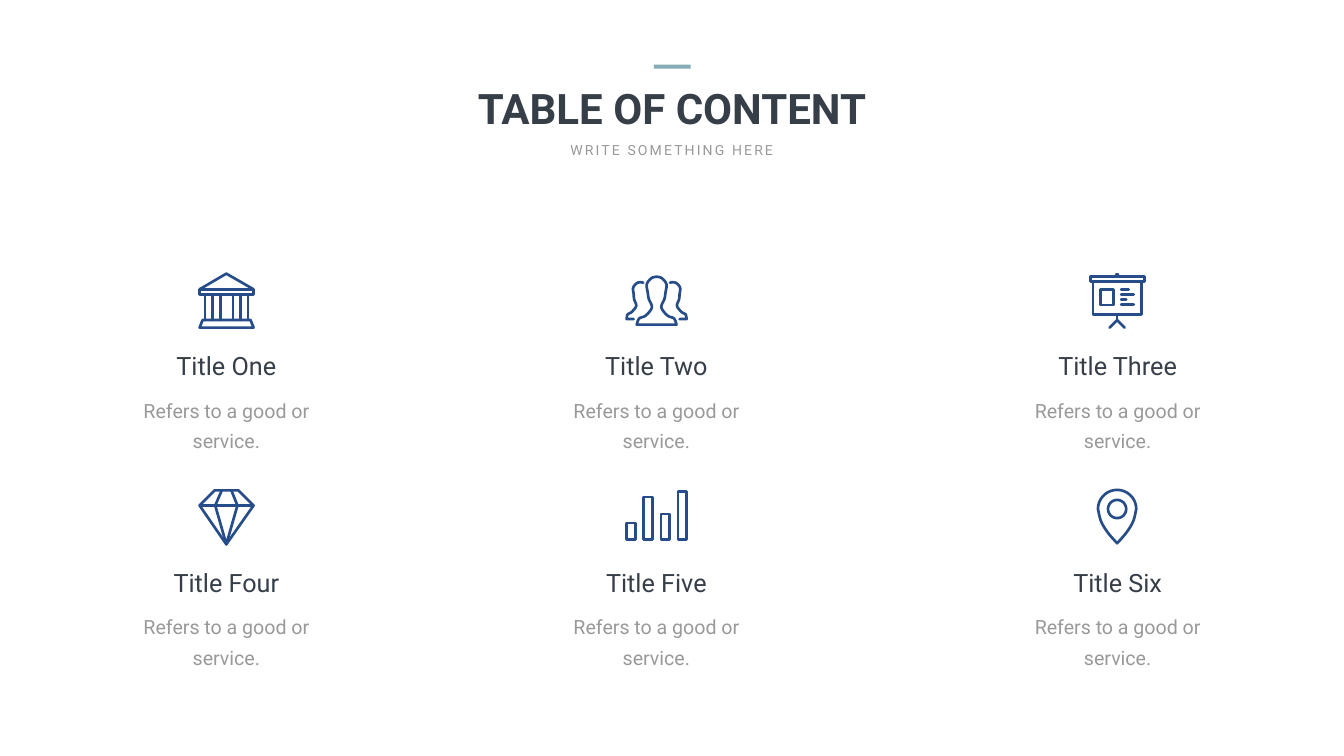
from dataclasses import dataclass
from math import cos, radians, sin

from pptx import Presentation
from pptx.dml.color import RGBColor
from pptx.enum.shapes import MSO_SHAPE as SHAPE
from pptx.enum.text import MSO_AUTO_SIZE as AUTO, PP_ALIGN as ALIGN
from pptx.oxml.ns import qn
from pptx.util import Emu, Pt

SCALE = 9144  # EMU per px, 100 px to the inch


@dataclass(frozen=True)
class Theme:
    font: str = "Roboto"
    paper: str = "FFFFFF"
    ink: str = "363E48"
    muted: str = "999999"
    accent: str = "84ACB6"
    icon: str = "264D89"
    title: int = 60
    heading: int = 36
    body: int = 28
    body_line: int = 43
    small: int = 20
    stroke: float = 3.8


T = Theme()


def px(n):
    return Emu(round(n * SCALE))


def rgb(color):
    return RGBColor.from_string(color)


# Outline helpers: an outline is (points, closed), in px from the icon's corner
def box(x0, y0, x1, y1):
    return [(x0, y0), (x1, y0), (x1, y1), (x0, y1)], True


def stroke(*points):
    return list(points), False


def arc(cx, cy, r, start, end, step=10):
    angles = [radians(a) for a in range(start, end + 1, step)]
    return [(cx + r * cos(a), cy + r * sin(a)) for a in angles]


def mirror(points, width):
    return [(width - x, y) for x, y in points]


def spline(points, steps=8):
    """Smooth Catmull-Rom curve through the points."""
    padded = [points[0], *points, points[-1]]
    curve = [points[0]]
    for a, b, c, d in zip(padded, padded[1:], padded[2:], padded[3:]):
        for i in range(1, steps + 1):
            t = i / steps
            curve.append(tuple(
                (2 * q + (r - p) * t + (2 * p - 5 * q + 4 * r - s) * t ** 2
                 + (3 * q - p - 3 * r + s) * t ** 3) / 2
                for p, q, r, s in zip(a, b, c, d)))
    return curve


# Icons
def bank():
    columns = [stroke((x, 44), (x, 95)) for x in (14, 29, 44, 69, 84, 99)]
    roof = stroke((3, 34), (56, 3), (110, 34))
    base = [(9, 95), (104, 95), (110, 110), (3, 110)], True
    return [roof, box(3, 34, 110, 44), *columns, base]


def people():
    width = 125
    half = spline([(62, 3), (52, 6), (43, 18), (45, 35), (47, 47), (53, 64),
                   (41, 80), (28, 86), (23, 98)])
    side = spline([(36, 15), (31, 14), (23, 16), (16, 25), (17, 38), (18, 48),
                   (22, 61), (13, 73), (5, 78), (3, 87)]) + [(17, 87)]
    front = half + mirror(half, width)[::-1]
    return [(front, True), (side, False), (mirror(side, width), False)]


def board():
    lines = [stroke((64, y), (x, y))
             for x, y in ((79, 34), (89, 44), (74, 54), (89, 64))]
    return [box(3, 8, 110, 18), box(8, 18, 105, 84), box(23, 34, 49, 65),
            stroke((54, 5), (58, 5)), stroke((56, 84), (56, 95)),
            stroke((41, 110), (56, 95), (71, 110)), *lines]


def diamond():
    rim = [(33, 3), (80, 3), (110, 33), (56, 110), (3, 33)], True
    facets = stroke((47, 3), (34, 33), (56, 110), (78, 33), (66, 3))
    return [rim, stroke((3, 33), (110, 33)), facets]


def bars():
    return [box(3 + 34 * i, top, 20 + 34 * i, 99)
            for i, top in enumerate((66, 14, 48, 3))]


def pin():
    right = arc(41, 41, 38, -90, 0) + spline(
        [(79, 41), (73, 65), (60, 87), (41, 109)])
    return [(right + mirror(right, 82)[::-1], True),
            (arc(41, 41, 18, 0, 350), True)]


# Elements
def add_icon(slide, left, top, outlines):
    builder = None
    for points, closed in outlines:
        (x, y), *rest = [(px(left + x), px(top + y)) for x, y in points]
        if builder is None:
            builder = slide.shapes.build_freeform(x, y, scale=1.0)
        else:
            builder.move_to(x, y)
        builder.add_line_segments(rest, close=closed)
    sp = builder.convert_to_shape()
    sp.shadow.inherit = False
    sp.fill.background()
    sp.line.color.rgb = rgb(T.icon)
    sp.line.width = Pt(T.stroke)
    ln = sp.line.fill._xPr
    ln.set("cap", "rnd")
    ln.append(ln.makeelement(qn("a:round"), {}))


def add_text(slide, text, left, top, width, height, size, color, bold=False,
             wrap=True, tracking=0, line=None, inset=(10, 5)):
    tf = slide.shapes.add_textbox(*map(px, (left, top, width, height))).text_frame
    tf.word_wrap = wrap
    tf.auto_size = AUTO.SHAPE_TO_FIT_TEXT
    tf.margin_left = tf.margin_right = px(inset[0])
    tf.margin_top = tf.margin_bottom = px(inset[1])
    tf.text = text
    p = tf.paragraphs[0]
    p.alignment = ALIGN.CENTER
    if line:
        p.line_spacing = Pt(line)
    font = p.runs[0].font
    font.name, font.size, font.bold = T.font, Pt(size), bold
    font.color.rgb = rgb(color)
    if tracking:
        p.runs[0]._r.get_or_add_rPr().set("spc", str(tracking * 100))


def add_header(slide):
    rule = slide.shapes.add_shape(SHAPE.RECTANGLE, *map(px, (1297, 128, 73, 8)))
    rule.shadow.inherit = False
    rule.fill.solid()
    rule.fill.fore_color.rgb = rgb(T.accent)
    rule.line.fill.background()
    add_text(slide, "TABLE OF CONTENT", 916, 159, 834, 111, T.title, T.ink,
             bold=True)
    add_text(slide, "WRITE SOMETHING HERE", 1115, 275, 435, 44, T.small,
             T.muted, wrap=False, tracking=3)


def add_topic(slide, left, top, title):
    add_text(slide, title, left, top, 518, 71, T.heading, T.ink)
    add_text(slide, "Refers to a good or service.", left, top + 76, 518, 144,
             T.body, T.muted, line=T.body_line, inset=(25, 12))


def main():
    prs = Presentation()
    prs.slide_width, prs.slide_height = px(2666), px(1500)
    slide = prs.slides.add_slide(prs.slide_layouts[6])
    slide.background.fill.solid()
    slide.background.fill.fore_color.rgb = rgb(T.paper)

    add_header(slide)

    # Topics, three to a row
    columns, first_row, row_step = (190, 1043, 1958), 691, 429
    topics = [("Title One", bank, 393, 540), ("Title Two", people, 1240, 546),
              ("Title Three", board, 2160, 540),
              ("Title Four", diamond, 393, 970), ("Title Five", bars, 1240, 972),
              ("Title Six", pin, 2175, 969)]
    for i, (title, icon, x, y) in enumerate(topics):
        row, col = divmod(i, len(columns))
        add_icon(slide, x, y, icon())
        add_topic(slide, columns[col], first_row + row * row_step, title)

    prs.save("out.pptx")


if __name__ == "__main__":
    main()
